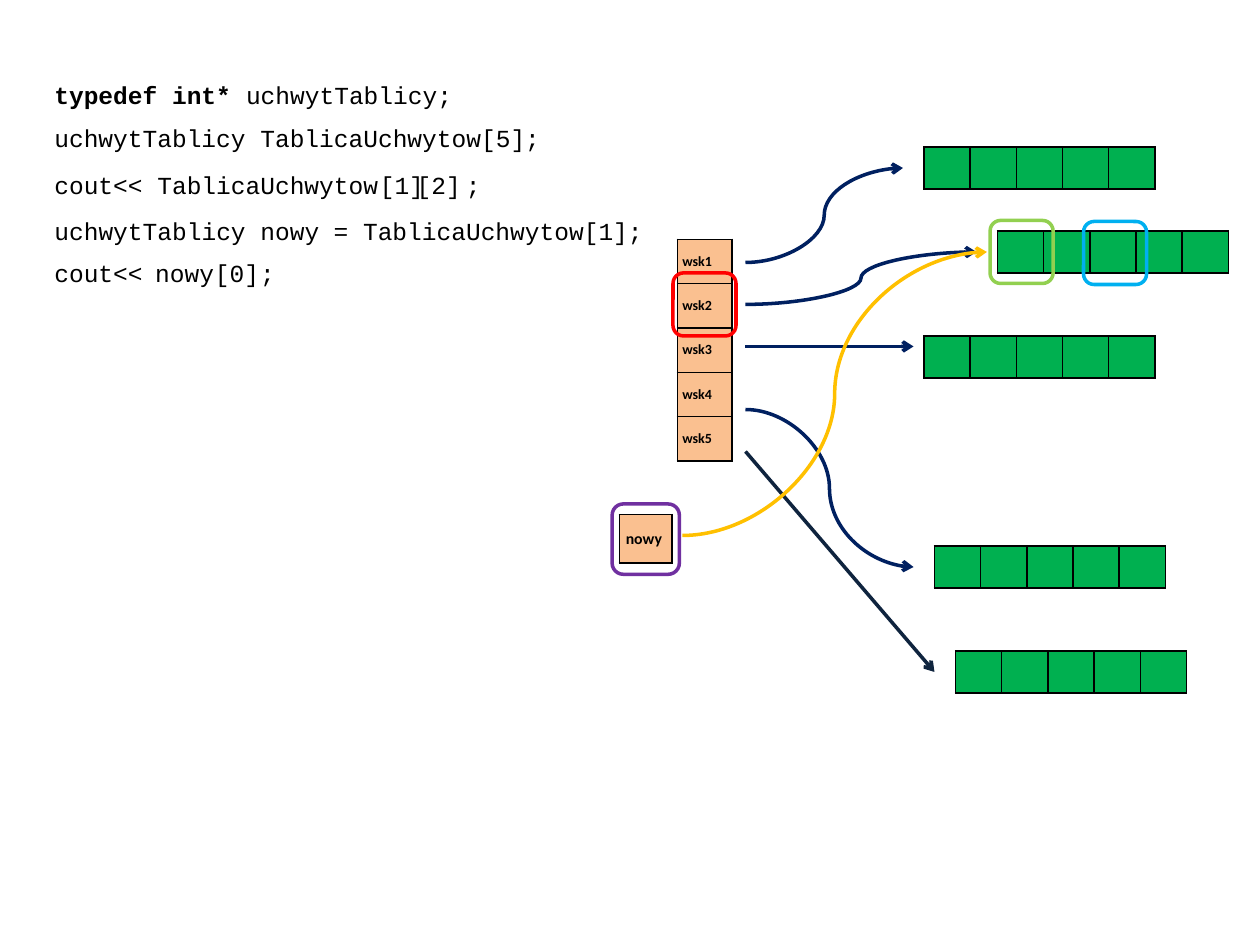
from pptx import Presentation
from pptx.dml.color import RGBColor
from pptx.enum.shapes import MSO_CONNECTOR as LINE, MSO_SHAPE as SHAPE
from pptx.enum.text import MSO_ANCHOR as ANCHOR, MSO_AUTO_SIZE as FIT
from pptx.oxml.ns import qn
from pptx.util import Inches, Pt
from lxml.etree import SubElement

COLORS = {
    "black": "000000", "cell": "00B050", "handle": "FAC090",
    "navy": "002060", "dark": "0F243E", "gold": "FFC000",
    "red": "FF0000", "sky": "00B0F0", "purple": "7030A0", "lime": "92D050",
}
CODE_FONT, LABEL_FONT = "Courier New", "Calibri"
UNIT = Inches(1) / 12       # the slide is a grid of 120 columns by 90 rows
CHAR = 1.4                  # columns taken by one 14 pt code character
PADS = 2.8                  # both insets of a text box and some slack


def g(n):
    return round(n * UNIT)


def rgb(name):
    return RGBColor.from_string(COLORS[name])


def style_font(font, name, size, bold=False):
    font.name, font.size, font.bold = name, Pt(size), bold
    font.color.rgb = rgb("black")


def border_cell(cell):
    tc_pr = cell._tc.get_or_add_tcPr()
    for i, side in enumerate(("lnL", "lnR", "lnT", "lnB")):
        ln = SubElement(tc_pr, qn(f"a:{side}"), w=str(Pt(1)))
        fill = SubElement(ln, qn("a:solidFill"))
        SubElement(fill, qn("a:srgbClr"), val=COLORS["black"])
        tc_pr.remove(ln)
        tc_pr.insert(i, ln)     # borders come before the fill


def add_grid(s, box, rows, cols, fill, labels=(), size=8, inset=0):
    """Table of equal bordered cells filling the box."""
    x, y, w, h = box
    tbl = s.shapes.add_table(rows, cols, g(x), g(y), g(w), g(h)).table
    tbl.first_row = tbl.horz_banding = False
    for col in tbl.columns:
        col.width = g(w / cols)
    for row in tbl.rows:
        row.height = g(h / rows)
    for cell in tbl.iter_cells():
        cell.margin_left = cell.margin_right = Inches(inset)
        cell.margin_top = cell.margin_bottom = Inches(0.02 if labels else 0)
        cell.vertical_anchor = ANCHOR.MIDDLE
        cell.fill.solid()
        cell.fill.fore_color.rgb = rgb(fill)
        border_cell(cell)
    for cell, label in zip(tbl.iter_cells(), labels):
        cell.text_frame.text = label
        style_font(cell.text_frame.paragraphs[0].runs[0].font,
                   LABEL_FONT, size, True)


def add_arrow(s, start, end, color="navy", kind=LINE.CURVE):
    c = s.shapes.add_connector(kind, *map(g, start + end))
    c.line.color.rgb = rgb(color)
    c.line.width = Pt(2)
    SubElement(c.line._get_or_add_ln(), qn("a:tailEnd"), type="arrow")
    SubElement(c._element.spPr, qn("a:effectLst"))


def add_mark(s, box, color):
    sp = s.shapes.add_shape(SHAPE.ROUNDED_RECTANGLE, *map(g, box))
    sp.shadow.inherit = False
    sp.fill.background()
    sp.line.color.rgb = rgb(color)
    sp.line.width = Pt(2)


def add_code(s, x, y, text, bold="", tab=0):
    """One line of code; tab is the character column of its tab stop."""
    chars = max(len(bold + text), tab + 1)
    sp = s.shapes.add_textbox(g(x), g(y), g(chars * CHAR + PADS), g(4.1))
    tf = sp.text_frame
    tf.word_wrap, tf.auto_size = False, FIT.SHAPE_TO_FIT_TEXT
    p = tf.paragraphs[0]
    for part, is_bold in ((bold, True), (text, False)):
        if part:
            r = p.add_run()
            r.text = part
            style_font(r.font, CODE_FONT, 14, is_bold)
    if tab:
        stops = SubElement(p._p.get_or_add_pPr(), qn("a:tabLst"))
        SubElement(stops, qn("a:tab"), pos=str(g(tab * CHAR)), algn="l")


def draw_arrays(s, box):
    """Five arrays of five cells, scattered in the box."""
    x, y = box[:2]
    for dx, dy in ((0, 0), (7, 8), (0, 18), (1, 38), (3, 48)):
        add_grid(s, (x + dx, y + dy, 22, 4), 1, 5, "cell")


def draw_handles(s, box):
    """Pointer column and the single new pointer below it."""
    x, y = box[:2]
    add_grid(s, (x + 5.5, y, 5.2, 21.1), 5, 1, "handle",
             [f"wsk{i}" for i in range(1, 6)], 8, 0.04)
    add_grid(s, (x, y + 26.2, 5, 4.6), 1, 1, "handle", ["nowy"], 9, 0.05)


def draw_arrows(s, box):
    """Arrows from the pointers, at the left edge, to the arrays."""
    x, y = box[:2]
    for y0, dx, y1 in ((9, 15, 0), (17, 16, 17), (23, 16, 38), (13, 22, 8)):
        add_arrow(s, (x, y + y0), (x + dx, y + y1))
    add_arrow(s, (x, y + 27), (x + 18, y + 48), "dark", LINE.STRAIGHT)
    add_arrow(s, (x - 6, y + 35), (x + 23, y + 8), "gold")


def draw_marks(s, box):
    """Rounded frames around the cells that the code refers to."""
    x, y = box[:2]
    for dx, dy, w, h, color in (
        (5.8, 5, 6, 6, "red"), (44.9, 0.1, 6, 6, "sky"),
        (0, 27, 6.4, 6.7, "purple"), (36, 0, 6, 6, "lime"),
    ):
        add_mark(s, (x + dx, y + dy, w, h), color)


def draw_code(s, box):
    """Code lines, with the indexed parts set as separate pieces."""
    x, y = box[:2]
    for dx, dy, text, bold, tab in (
        (0, 13, "uchwytTablicy nowy", "", 0),
        (0, 17, "cout<<\t;", "", 14),
        (0, 8.6, "cout<< TablicaUchwytow\t;", "", 28),
        (15.3, 17, "[0]", "", 0),
        (9.6, 17, "nowy", "", 0),
        (34.5, 8.6, "[2]", "", 0),
        (31, 8.6, "[1]", "", 0),
        (26.6, 13, "= TablicaUchwytow[1];", "", 0),
        (0, 0, "uchwytTablicy;", "typedef int* ", 0),
        (0, 4.1, "uchwytTablicy TablicaUchwytow[5];", "", 0),
    ):
        add_code(s, x + dx, y + dy, text, bold, tab)


def main():
    prs = Presentation()
    prs.slide_width, prs.slide_height = g(120), g(90)
    s = prs.slides.add_slide(prs.slide_layouts[6])
    draw_arrays(s, (88, 14, 29, 52))
    draw_handles(s, (59, 22.8, 10.7, 30.8))
    draw_arrows(s, (71, 16, 23, 48))
    draw_marks(s, (58.3, 21, 50.9, 33.7))
    draw_code(s, (4, 7, 60, 21.1))
    prs.save("out.pptx")


if __name__ == "__main__":
    main()
